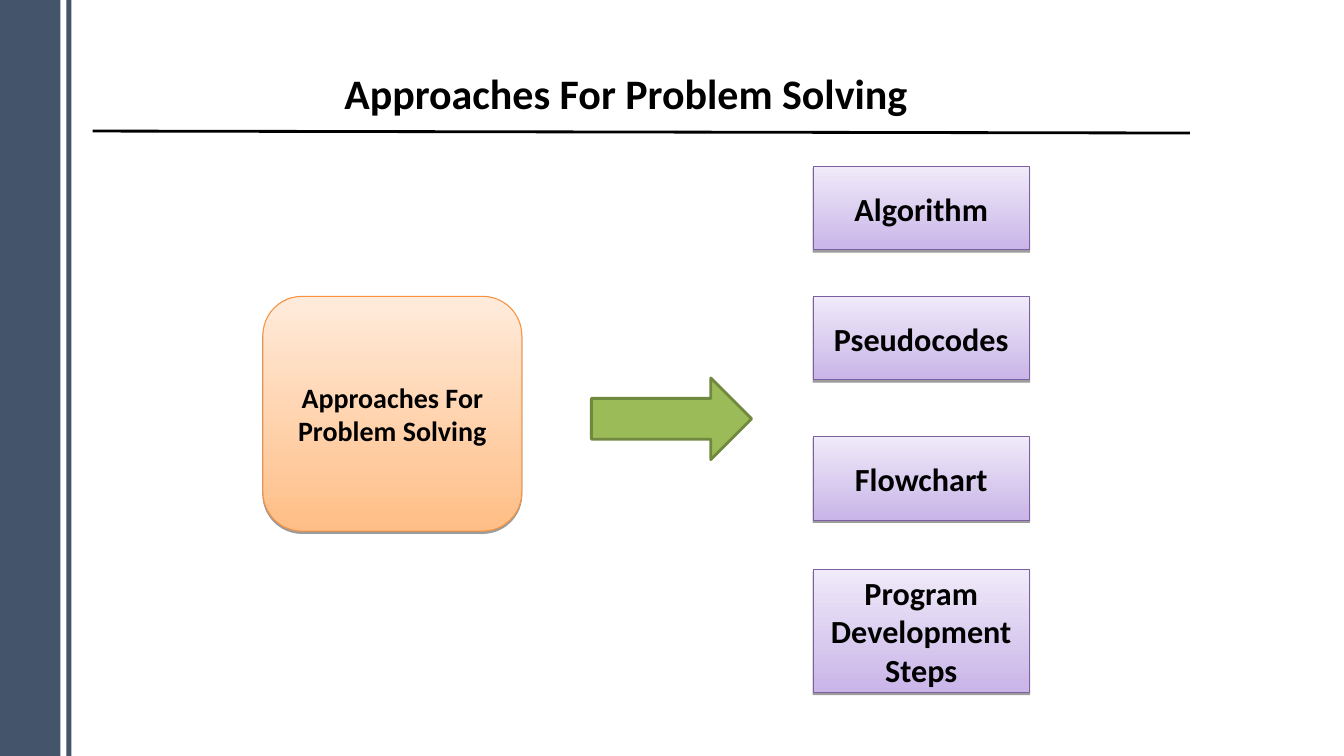
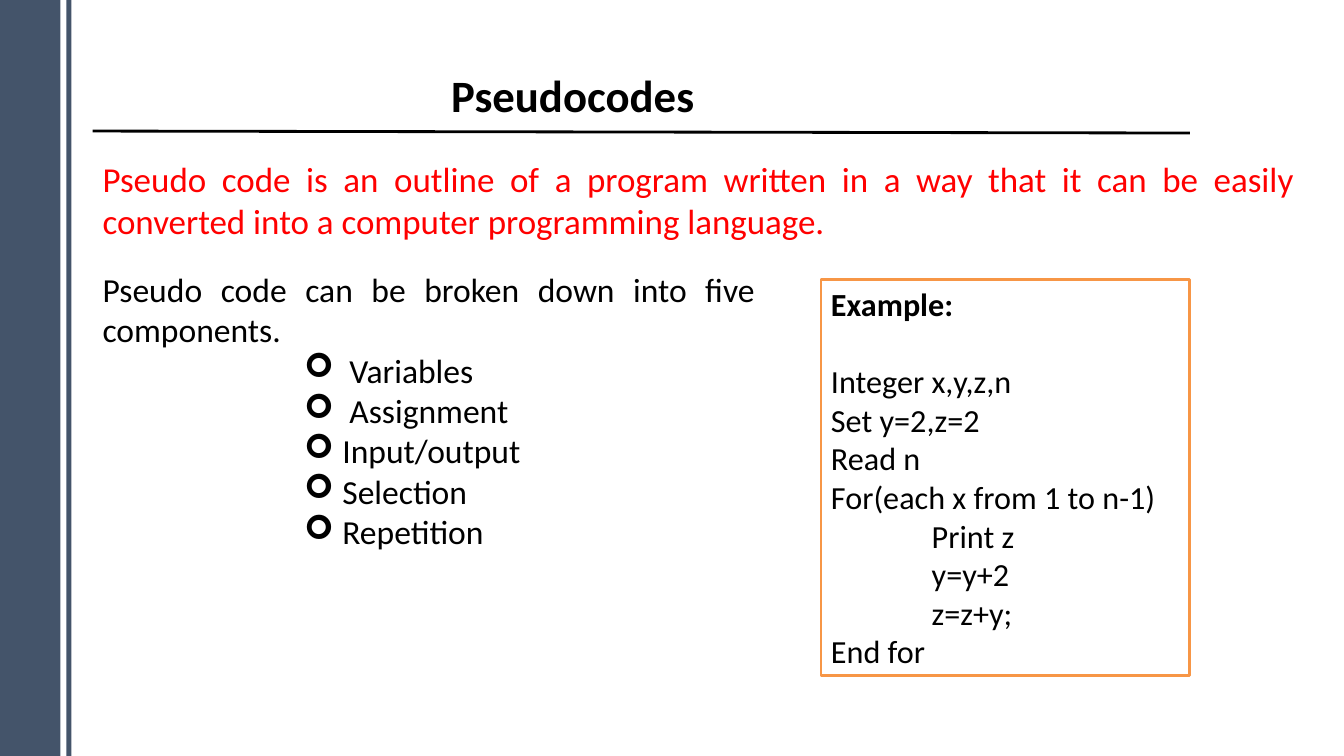
import pptx
import pptx.util
import pptx.dml.color
import pptx.enum.shapes
import pptx.enum.text
import pptx.oxml.ns
from lxml import etree

Inches = pptx.util.Inches
Pt = pptx.util.Pt
SHAPES = pptx.enum.shapes.MSO_SHAPE
ALIGN = pptx.enum.text.PP_ALIGN
ANCHOR = pptx.enum.text.MSO_ANCHOR
qn = pptx.oxml.ns.qn

FONT = "Calibri"
COLORS = {
    "band": "44546A",
    "text": "000000",
    "definition": "FF0000",
    "paper": "FFFFFF",
    "example_line": "F79646",
    "topic_low": "FFBE86",
    "topic_high": "FFEBDB",
    "topic_line": "F69240",
    "approach_low": "C9B5E8",
    "approach_high": "F0EAF9",
    "approach_line": "7D60A0",
    "arrow": "9BBB59",
    "arrow_line": "71893F",
}


def rgb(name):
    return pptx.dml.color.RGBColor.from_string(COLORS[name])


def write_para(frame, text, size=24, bold=False, color="text", align=ALIGN.LEFT,
               margin=0, hanging=0, bullet=None, before=0):
    first = frame.paragraphs[0]
    para = frame.add_paragraph() if first.runs else first
    props = para._p.get_or_add_pPr()
    props.set("marL", str(Inches(margin)))
    props.set("indent", str(-Inches(hanging)))
    if bullet:
        tint = etree.SubElement(props, qn("a:buClr"))
        etree.SubElement(tint, qn("a:srgbClr"), val=COLORS[color])
        etree.SubElement(props, qn("a:buFont"), typeface="Wingdings")
        etree.SubElement(props, qn("a:buChar"), char=bullet)
    para.alignment = align
    if before:
        para.space_before = Pt(before)
    span = para.add_run()
    span.text = text
    span.font.name = FONT
    span.font.size = Pt(size)
    span.font.bold = bold
    span.font.color.rgb = rgb(color)
    return para


def add_text_box(page, box):
    frame = page.shapes.add_textbox(*map(Inches, box)).text_frame
    frame.word_wrap = True
    return frame


def add_block(page, kind, box, fill=None, line=None, width=2):
    shape = page.shapes.add_shape(kind, *map(Inches, box))
    shape.shadow.inherit = False
    if fill:
        shape.fill.solid()
        shape.fill.fore_color.rgb = rgb(fill)
    if line:
        shape.line.color.rgb = rgb(line)
        shape.line.width = Pt(width)
    else:
        shape.line.fill.background()
    return shape


def add_card(page, kind, box, text, size, style):
    card = add_block(page, kind, box, line=style + "_line", width=0.75)
    card.fill.gradient()
    card.fill.gradient_angle = 90
    for stop, tone in zip(card.fill.gradient_stops, ("_low", "_high")):
        stop.color.rgb = rgb(style + tone)
    effects = card._element.spPr.find(qn("a:effectLst"))
    shadow = etree.SubElement(effects, qn("a:outerShdw"), blurRad="0",
                              dist=str(Pt(1.6)), dir="5400000", rotWithShape="0")
    tint = etree.SubElement(shadow, qn("a:srgbClr"), val=COLORS["text"])
    etree.SubElement(tint, qn("a:alpha"), val="38000")
    card.text_frame.word_wrap = True
    card.text_frame.vertical_anchor = ANCHOR.MIDDLE
    write_para(card.text_frame, text, size=size, bold=True, align=ALIGN.CENTER)


def add_page(deck, title, left, size):
    page = deck.slides.add_slide(deck.slide_layouts[6])
    for band in ((0, 0, 0.6, 7.5), (0.66, 0, 0.05, 7.5)):
        add_block(page, SHAPES.RECTANGLE, band, fill="band")
    rule = page.shapes.add_connector(pptx.enum.shapes.MSO_CONNECTOR.STRAIGHT,
                                     *map(Inches, (0.92, 1.3, 11.81, 1.32)))
    rule.line.color.rgb = rgb("text")
    rule.line.width = Pt(2)
    etree.SubElement(rule._element.spPr, qn("a:effectLst"))
    write_para(add_text_box(page, (left, 0.62, 6.69, 0.64)), title, size=size, bold=True)
    return page


def add_approaches(page, box):
    left, top, width = box
    approaches = (
        ("Algorithm", 0, 0.83),
        ("Pseudocodes", 1.29, 0.83),
        ("Flowchart", 2.68, 0.83),
        ("Program Development Steps", 4, 1.22),
    )
    for text, offset, height in approaches:
        add_card(page, SHAPES.RECTANGLE, (left, top + offset, width, height),
                 text, 23, "approach")


def add_components(page, box):
    frame = add_text_box(page, box)
    write_para(frame, "Pseudo code can be broken down into five components.",
               align=ALIGN.JUSTIFY)
    components = (("Variables", 0.45), ("Assignment", 0.45), ("Input/output", 0.38),
                  ("Selection", 0.38), ("Repetition", 0.38))
    for text, hanging in components:
        write_para(frame, text, margin=2 + hanging, hanging=hanging, bullet="➢")


def add_example(page, box):
    frame = add_block(page, SHAPES.RECTANGLE, box, fill="paper", line="example_line").text_frame
    frame.word_wrap = True
    frame.vertical_anchor = ANCHOR.TOP
    write_para(frame, "Example:", size=23, bold=True)
    code = (("Integer x,y,z,n", 0), ("Set y=2,z=2", 0), ("Read n", 0),
            ("For(each x from 1 to n-1)", 0), ("Print z", 1), ("y=y+2", 1),
            ("z=z+y;", 1), ("End for", 0))
    for number, (text, level) in enumerate(code):
        write_para(frame, text, size=23, margin=level, before=0 if number else 27.6)


def build_approaches_page(deck):
    title = "Approaches For Problem Solving"
    page = add_page(deck, title, 3.32, 30)
    add_card(page, SHAPES.ROUNDED_RECTANGLE, (2.61, 2.94, 2.57, 2.33), title, 20, "topic")
    add_block(page, SHAPES.RIGHT_ARROW, (5.87, 3.75, 1.59, 0.81),
              fill="arrow", line="arrow_line")
    add_approaches(page, (8.07, 1.65, 2.15))


def build_pseudocodes_page(deck):
    page = add_page(deck, "Pseudocodes", 4.38, 32)
    add_components(page, (0.92, 2.62, 6.67, 2.9))
    add_example(page, (8.15, 2.77, 3.66, 3.93))
    write_para(add_text_box(page, (0.92, 1.51, 12.02, 0.94)),
               "Pseudo code is an outline of a program written in a way that it can be "
               "easily converted into a computer programming language.",
               size=25, color="definition", align=ALIGN.JUSTIFY)


def main():
    deck = pptx.Presentation()
    deck.slide_width = Inches(13.34)
    deck.slide_height = Inches(7.5)
    build_approaches_page(deck)
    build_pseudocodes_page(deck)
    deck.save("out.pptx")


if __name__ == "__main__":
    main()
